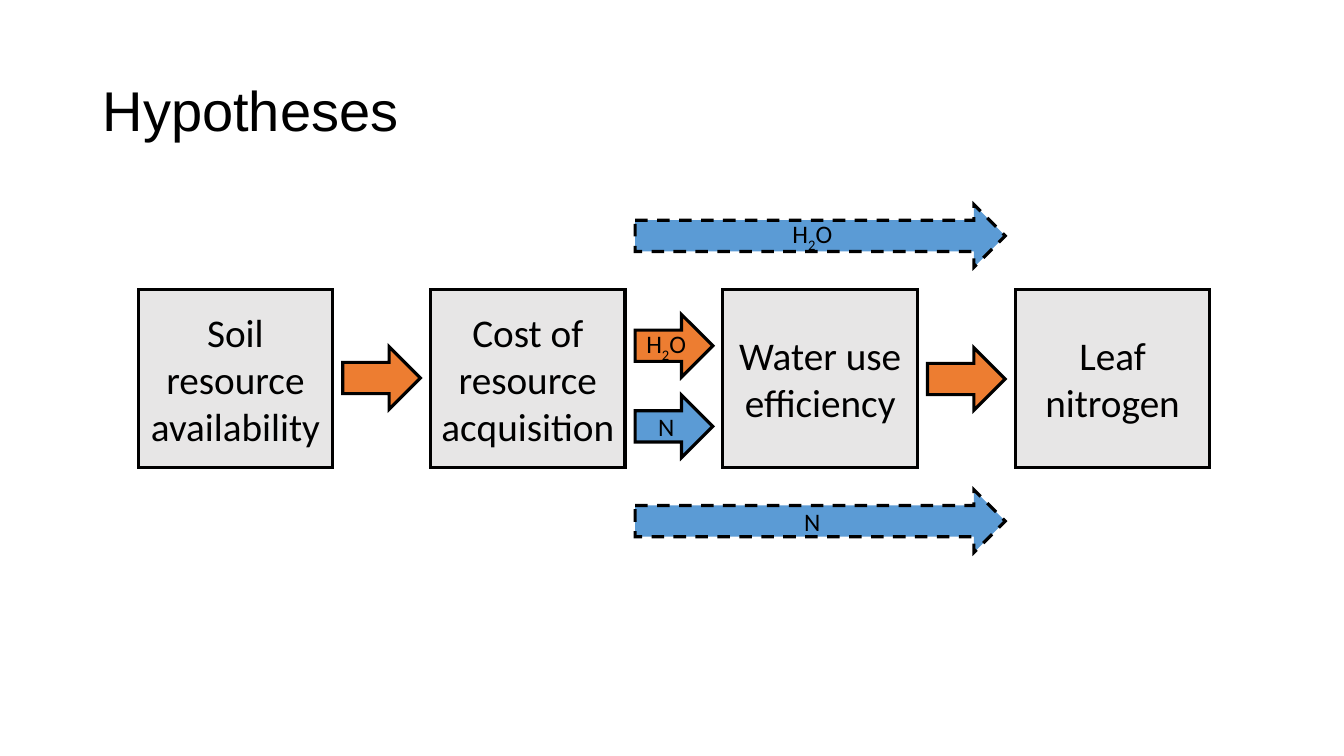
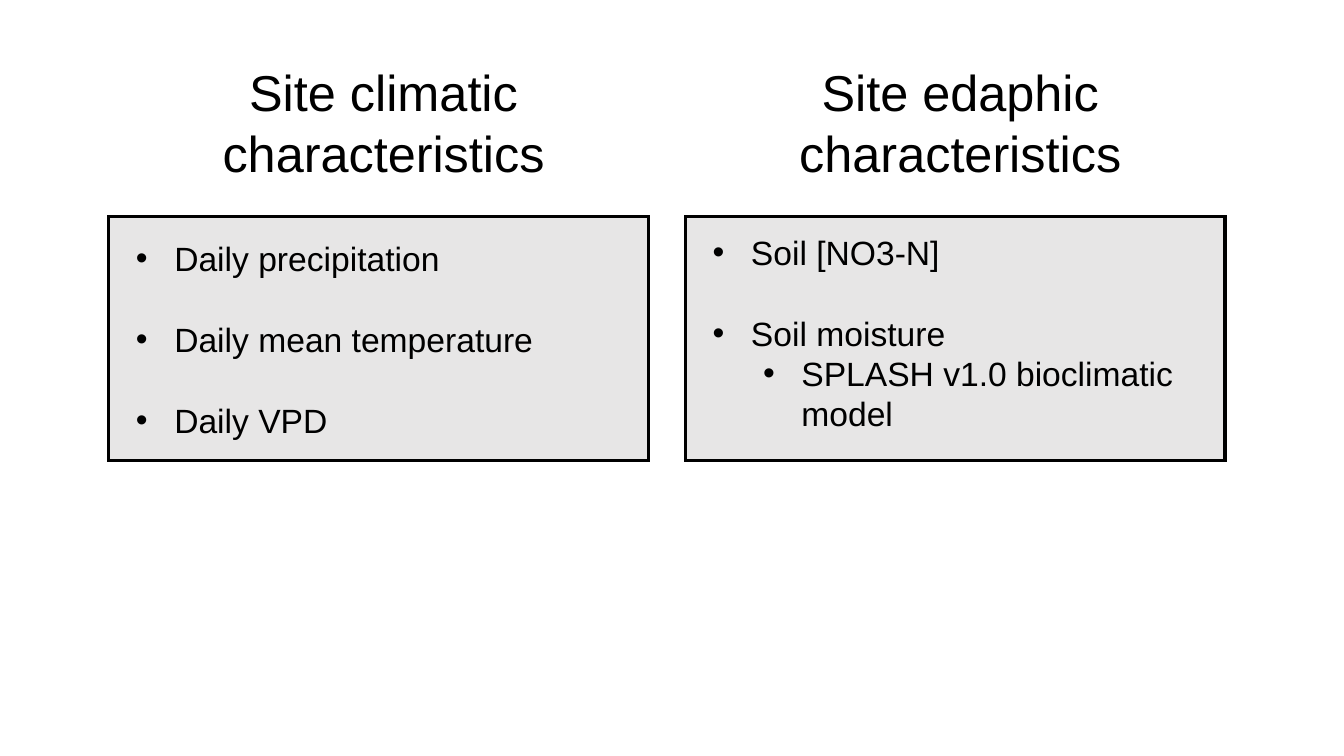
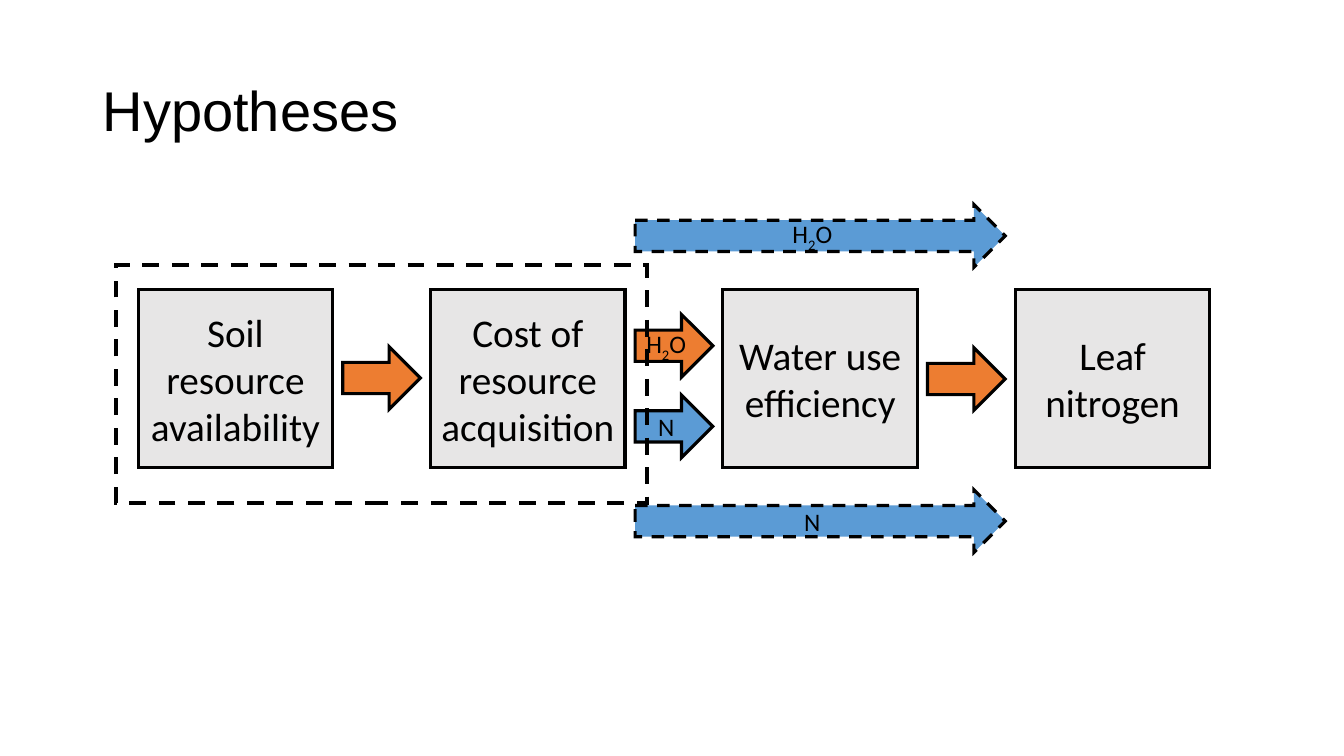
"""Build three slides on the hypotheses and site characteristics of a leaf nitrogen study."""
from lxml import etree
from pptx import Presentation
from pptx import util as u
from pptx.dml.color import RGBColor
from pptx.enum import dml, shapes, text
from pptx.oxml.ns import qn

PX = 9144
COLORS = {"ink": "000000", "box": "E7E6E6", "orange": "ED7D31", "blue": "5B9BD5"}
HEAD_FONT, FLOW_FONT = "Arial", "Calibri"
TITLE_ONLY, BLANK = 5, 6
STAGES = ["Soil resource availability", "Cost of resource acquisition",
          "Water use efficiency", "Leaf nitrogen"]
STAGE_LEFT, STAGE_TOP, STAGE_W, STAGE_H, STAGE_PITCH = 137, 287, 193, 177, 290
ARROW_GAP, ARROW_H = 10, 62
WATER = [("H", False), ("2", True), ("O", False)]
NITROGEN = [("N", False)]
ARROWS = [
    (0, 1, 344, "orange", False, []),
    (1, 2, 312, "orange", False, WATER),
    (1, 2, 392, "blue", False, NITROGEN),
    (1, 3, 203, "blue", True, WATER),
    (1, 3, 486, "blue", True, NITROGEN),
    (2, 3, 345, "orange", False, []),
]
PANELS = [
    (108, 231, ["Site climatic", "characteristics"],
     [("Daily precipitation", 0, 0), ("Daily mean temperature", 0, 29), ("Daily VPD", 0, 29)]),
    (680, 225, ["Site edaphic", "characteristics"],
     [("Soil [NO3-N]", 0, 0), ("Soil moisture", 0, 29),
      ("SPLASH v1.0 bioclimatic model", 1, 0)]),
]


def px(*lengths):
    """Turn px lengths into EMU."""
    return [u.Emu(n * PX) for n in lengths]


def rgb(name):
    """Look up a palette colour."""
    return RGBColor.from_string(COLORS[name])


def add_run(p, words, size, font, sub=False):
    """Add one run of ink-coloured text."""
    r = p.add_run()
    r.text = words
    r.font.size = u.Pt(size)
    r.font.name = font
    r.font.color.rgb = rgb("ink")
    if sub:
        r.font._element.set("baseline", "-25000")


def add_block(s, kind, box, fill=None, runs=(), size=18, width=2.25, dashed=False):
    """Add an outlined preset shape with centred text."""
    sp = s.shapes.add_shape(kind, *px(*box))
    sp.shadow.inherit = False
    if fill:
        sp.fill.solid()
        sp.fill.fore_color.rgb = rgb(fill)
    else:
        sp.fill.background()
    sp.line.color.rgb = rgb("ink")
    sp.line.width = u.Pt(width)
    if dashed:
        sp.line.dash_style = dml.MSO_LINE.DASH
    ln = sp._element.spPr.find(qn("a:ln"))
    etree.SubElement(ln, qn("a:miter")).set("lim", "800000")
    if runs:
        tf = sp.text_frame
        tf.word_wrap = True
        tf.vertical_anchor = text.MSO_ANCHOR.MIDDLE
        p = tf.paragraphs[0]
        p.alignment = text.PP_ALIGN.CENTER
        for words, sub in runs:
            add_run(p, words, size, FLOW_FONT, sub)


def add_title(s, words):
    """Move and format the title placeholder."""
    sp = s.shapes.title
    sp.left, sp.top, sp.width, sp.height = px(92, 40, 1150, 145)
    tf = sp.text_frame
    tf.vertical_anchor = text.MSO_ANCHOR.MIDDLE
    p = tf.paragraphs[0]
    p.alignment = text.PP_ALIGN.LEFT
    p.line_spacing = 0.9
    add_run(p, words, 40, HEAD_FONT)


def add_paragraphs(s, box, count, wrap):
    """Add a text box and return its empty paragraphs."""
    tf = s.shapes.add_textbox(*px(*box)).text_frame
    tf.word_wrap = wrap
    return [tf.paragraphs[0]] + [tf.add_paragraph() for _ in range(count - 1)]


def add_heading(s, box, lines):
    """Add a centred heading, one paragraph a line."""
    for p, words in zip(add_paragraphs(s, box, len(lines), False), lines):
        p.alignment = text.PP_ALIGN.CENTER
        add_run(p, words, 36, HEAD_FONT)


def add_bullets(s, box, items):
    """Add a bulleted list of (words, level, space before)."""
    for p, (words, level, space) in zip(add_paragraphs(s, box, len(items), True), items):
        p.level = level
        pPr = p._p.get_or_add_pPr()
        pPr.set("marL", str((38 + 50 * level) * PX))
        pPr.set("indent", str(-38 * PX))
        etree.SubElement(pPr, qn("a:buFont")).set("typeface", HEAD_FONT)
        etree.SubElement(pPr, qn("a:buChar")).set("char", "•")
        if space:
            p.space_before = u.Pt(space)
        add_run(p, words, 24, HEAD_FONT)


def hypotheses_slide(prs, framed=False):
    """Draw the flow of stages, optionally framing the first two."""
    s = prs.slides.add_slide(prs.slide_layouts[TITLE_ONLY])
    add_title(s, "Hypotheses")
    lefts = [STAGE_LEFT + STAGE_PITCH * i for i in range(len(STAGES))]
    for left, words in zip(lefts, STAGES):
        add_block(s, shapes.MSO_SHAPE.RECTANGLE, (left, STAGE_TOP, STAGE_W, STAGE_H),
                  "box", [(words, False)], 28)
    for start, end, top, fill, dashed, label in ARROWS:
        left = lefts[start] + STAGE_W + ARROW_GAP
        add_block(s, shapes.MSO_SHAPE.RIGHT_ARROW,
                  (left, top, lefts[end] - ARROW_GAP - left, ARROW_H),
                  fill, label, dashed=dashed)
    if framed:
        add_block(s, shapes.MSO_SHAPE.RECTANGLE, (115, 263, 527, 236), width=3, dashed=True)


def site_slide(prs):
    """Draw the two panels of site characteristics."""
    s = prs.slides.add_slide(prs.slide_layouts[BLANK])
    for left, list_top, heading, items in PANELS:
        add_block(s, shapes.MSO_SHAPE.RECTANGLE, (left, 215, 535, 242), "box")
        add_heading(s, (left + 101, 56, 343, 131), heading)
        add_bullets(s, (left + 17, list_top, 502, 212), items)


def main():
    """Build and save the presentation."""
    prs = Presentation()
    prs.slide_width, prs.slide_height = px(1333, 750)
    hypotheses_slide(prs)
    site_slide(prs)
    hypotheses_slide(prs, framed=True)
    prs.save("out.pptx")


if __name__ == "__main__":
    main()
